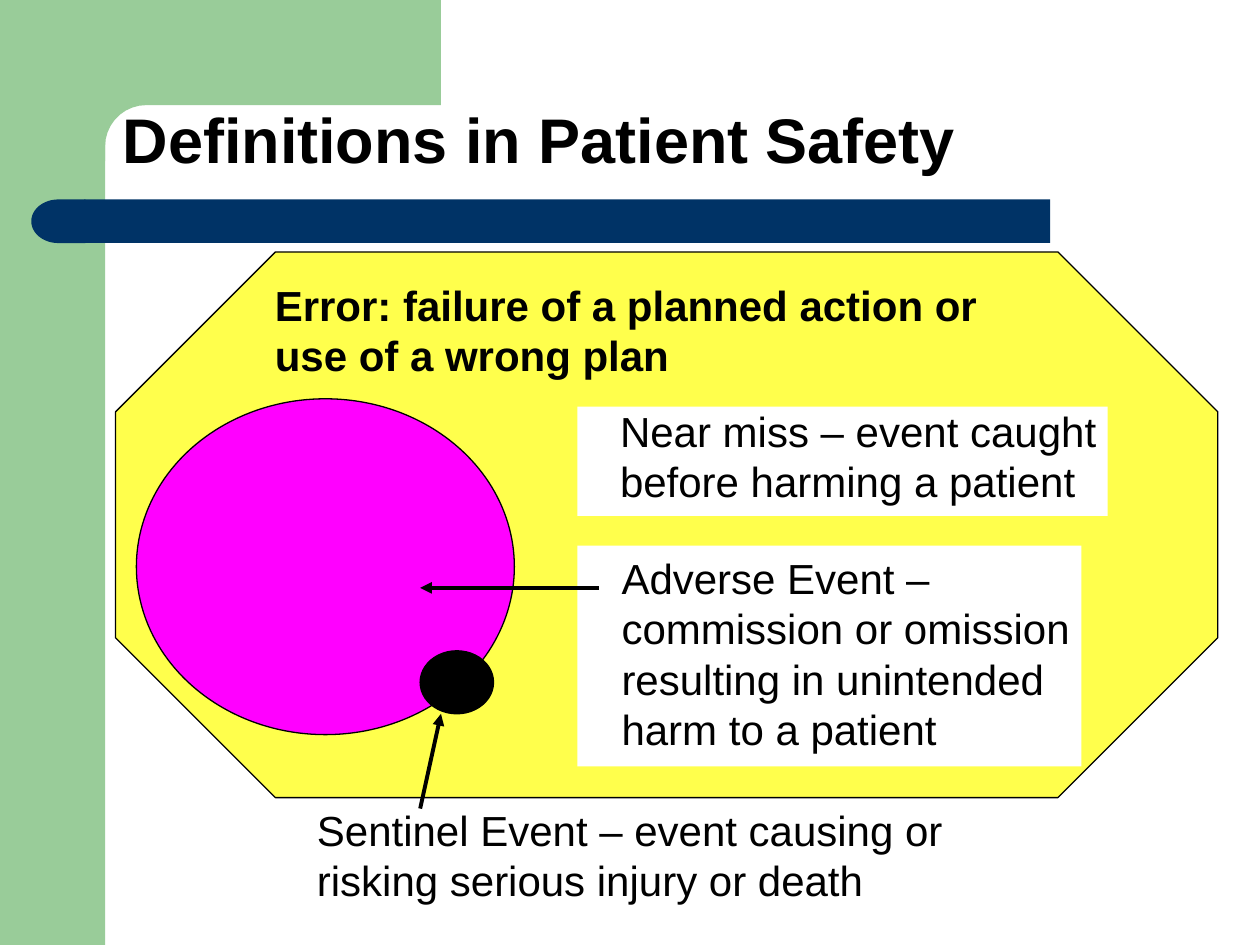
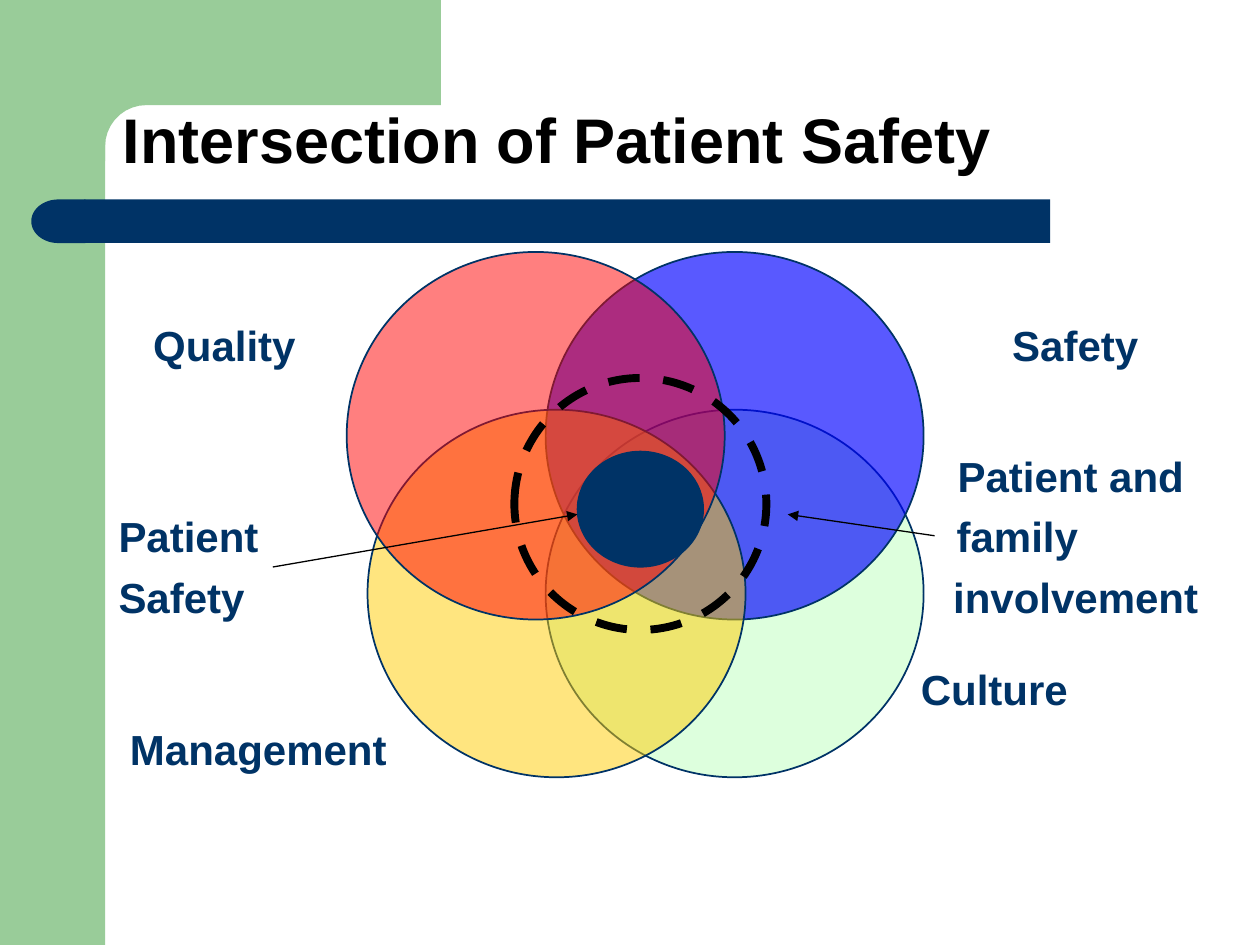
"""Build two patient safety slides with a shared green and navy frame."""
import math

from lxml import etree
from pptx import Presentation
from pptx import util as u
from pptx.dml.color import RGBColor
from pptx.enum import dml, shapes, text
from pptx.oxml.ns import qn

FONT = "Arial"
GREEN = RGBColor(0x99, 0xCC, 0x99)
NAVY = RGBColor(0x00, 0x33, 0x66)
BLACK = RGBColor(0x00, 0x00, 0x00)
WHITE = RGBColor(0xFF, 0xFF, 0xFF)
YELLOW = RGBColor(0xFF, 0xFF, 0x00)
MAGENTA = RGBColor(0xFF, 0x00, 0xFF)
RED = RGBColor(0xFF, 0x00, 0x00)
BLUE = RGBColor(0x00, 0x00, 0xFF)
GOLD = RGBColor(0xFF, 0xCC, 0x00)
MINT = RGBColor(0xCC, 0xFF, 0xCC)

SHAPE = shapes.MSO_SHAPE
TITLE_BOX = (2.22, 2.22, 21.79, 1.47)
TITLE_FONT = {"name": FONT, "size": u.Pt(36), "bold": True}
TEXT_FONT = {"name": FONT, "size": u.Pt(24), "bold": False}
BOLD_FONT = {**TEXT_FONT, "bold": True}
LINE_PITCH = u.Pt(28.8)


def apply(obj, values):
    """Set each named attribute of an object."""
    for name, value in values.items():
        setattr(obj, name, value)


def place(sp, box):
    """Move and size a shape to a box in centimetres."""
    apply(sp, dict(zip(("left", "top", "width", "height"), map(u.Cm, box))))


def paint(sp, fill=None, alpha=100, line=None, width=0.75, dash=None):
    """Give a shape its fill, opacity and outline, without a shadow."""
    sp.shadow.inherit = False
    if fill is None:
        sp.fill.background()
    else:
        sp.fill.solid()
        sp.fill.fore_color.rgb = fill
        if alpha < 100:
            color = sp.element.spPr.find(qn("a:solidFill"))[0]
            etree.SubElement(color, qn("a:alpha"), val=str(alpha * 1000))
    if line is None:
        sp.line.fill.background()
    else:
        sp.line.color.rgb = line
        apply(sp.line, {"width": u.Pt(width), "dash_style": dash})


def add_figure(s, kind, box, **look):
    """Add a painted preset shape."""
    sp = s.shapes.add_shape(kind, *map(u.Cm, box))
    paint(sp, **look)
    return sp


def add_arrow(s, start, end, width):
    """Add a black straight arrow."""
    c = s.shapes.add_connector(shapes.MSO_CONNECTOR.STRAIGHT, *map(u.Cm, start + end))
    c.line.color.rgb = BLACK
    c.line.width = u.Pt(width)
    line = c.element.spPr.find(qn("a:ln"))
    etree.SubElement(line, qn("a:tailEnd"), type="triangle")
    etree.SubElement(c.element.spPr, qn("a:effectLst"))


def write(p, words, font, color):
    """Write one run of formatted words in a paragraph."""
    r = p.add_run()
    r.text = words
    apply(r.font, font)
    r.font.color.rgb = color


def add_note(s, box, words, font=TEXT_FONT):
    """Add a wrapped text box."""
    tf = s.shapes.add_textbox(*map(u.Cm, box)).text_frame
    tf.word_wrap = True
    p = tf.paragraphs[0]
    p.line_spacing = LINE_PITCH
    write(p, words, font, BLACK)


def set_title(s, words):
    """Place and fill the title placeholder."""
    sp = s.shapes.title
    place(sp, TITLE_BOX)
    tf = sp.text_frame
    apply(tf, {"auto_size": text.MSO_AUTO_SIZE.NONE, "word_wrap": True,
               "vertical_anchor": text.MSO_ANCHOR.BOTTOM})
    p = tf.paragraphs[0]
    apply(p, {"alignment": text.PP_ALIGN.LEFT, "line_spacing": 0.9})
    write(p, words, TITLE_FONT, BLACK)


def set_labels(sp, box, labels):
    """Fill a shape with one column of indented labels."""
    place(sp, box)
    tf = sp.text_frame
    apply(tf, {"auto_size": text.MSO_AUTO_SIZE.NONE, "word_wrap": True})
    for i, (before, indent, words) in enumerate(labels):
        p = tf.add_paragraph() if i else tf.paragraphs[0]
        pPr = p._p.get_or_add_pPr()
        pPr.attrib.update({"marL": str(int(u.Cm(indent))), "indent": "0"})
        etree.SubElement(pPr, qn("a:buNone"))
        apply(p, {"space_before": u.Pt(before), "line_spacing": LINE_PITCH})
        write(p, words, BOLD_FONT, NAVY)


def add_corner(s):
    """Add the green top band with its rounded inner corner."""
    edge, center, radius = 2.12, 2.95, 0.83
    angles = [math.radians(a) for a in range(270, 179, -10)]
    arc = [(center + radius * math.cos(a), center + radius * math.sin(a)) for a in angles]
    outline = [(8.89, 0), (8.89, edge), *arc, (edge, 3.25), (1.27, 3.25)]
    builder = s.shapes.build_freeform(u.Cm(1.27), 0)
    builder.add_line_segments([(u.Cm(x), u.Cm(y)) for x, y in outline])
    sp = builder.convert_to_shape()
    paint(sp, GREEN)
    return sp


def frame_master(prs, s):
    """Draw the shared bands and move them to the slide master."""
    cap = add_figure(s, SHAPE.FLOWCHART_DELAY, (0.63, 4.02, 1.09, 0.88), fill=NAVY)
    cap.rotation = 180
    bands = [add_figure(s, SHAPE.RECTANGLE, (0, 0, 2.12, 19.05), fill=GREEN),
             add_corner(s),
             add_figure(s, SHAPE.RECTANGLE, (1.7, 4.02, 19.47, 0.88), fill=NAVY),
             cap]
    tree = prs.slide_master.element.cSld.spTree
    for i, sp in enumerate(bands):
        tree.insert(2 + i, sp.element)


def fill_definitions(s):
    """Draw the nested definitions of error and harm."""
    set_title(s, "Definitions in Patient Safety")
    octagon = add_figure(s, SHAPE.OCTAGON, (2.33, 5.08, 22.22, 11), fill=YELLOW,
                         alpha=70, line=BLACK)
    octagon.adjustments[0] = 0.293
    add_note(s, (5.29, 5.51, 15.44, 2.29),
             "Error: failure of a planned action or use of a wrong plan", BOLD_FONT)
    add_figure(s, SHAPE.RECTANGLE, (11.64, 8.2, 10.69, 2.2), fill=WHITE)
    add_note(s, (12.25, 8.05, 10.39, 2.29),
             "Near miss – event caught before harming a patient")
    add_figure(s, SHAPE.OVAL, (2.75, 8.04, 7.62, 6.77), fill=MAGENTA, line=BLACK)
    add_figure(s, SHAPE.RECTANGLE, (11.64, 11, 10.16, 4.45), fill=WHITE)
    add_arrow(s, (12.07, 11.85), (8.47, 11.85), 2.25)
    add_note(s, (12.28, 11.01, 10.39, 4.32), "Adverse Event – commission or omission "
             "resulting in unintended harm to a patient")
    add_note(s, (6.14, 16.09, 15.44, 2.29),
             "Sentinel Event – event causing or risking serious injury or death")
    add_arrow(s, (8.47, 16.3), (8.89, 14.39), 2.25)
    add_figure(s, SHAPE.OVAL, (8.47, 13.12, 1.48, 1.27), fill=BLACK, line=BLACK)


def fill_intersection(s):
    """Draw the four overlapping circles and their labels."""
    set_title(s, "Intersection of Patient Safety")
    set_labels(s.placeholders[1], (18.31, 6.32, 6.85, 12.1), [
        (0, 1.84, "Safety"),
        (45.6, 0.74, "Patient and"),
        (6, 0.72, "family"),
        (6, 0.65, "involvement"),
        (23.4, 0, "Culture"),
    ])
    left_column = s.shapes.add_textbox(0, 0, 0, 0)
    set_labels(left_column, (1.9, 6.32, 7, 12.1), [
        (0, 0.94, "Quality"),
        (80.4, 0.24, "Patient"),
        (6, 0.24, "Safety"),
        (58.2, 0.47, "Management"),
    ])
    for x, y, color, alpha in ((11, 8.26, MINT, 65), (11, 5.08, BLUE, 65),
                               (7.41, 8.26, GOLD, 50), (6.99, 5.08, RED, 50)):
        add_figure(s, SHAPE.OVAL, (x, y, 7.62, 7.41), fill=color, alpha=alpha,
                   line=NAVY, width=1)
    add_figure(s, SHAPE.OVAL, (11.64, 9.1, 2.54, 2.33), fill=NAVY, line=NAVY)
    add_figure(s, SHAPE.OVAL, (10.37, 7.62, 5.08, 5.08), line=BLACK, width=4.5,
               dash=dml.MSO_LINE.DASH)
    add_arrow(s, (5.5, 11.43), (11.64, 10.37), 0.75)
    add_arrow(s, (18.84, 10.8), (15.88, 10.37), 0.75)


def main():
    """Build and save the presentation."""
    prs = Presentation()
    apply(prs, {"slide_width": u.Cm(25.4), "slide_height": u.Cm(19.05)})
    definitions = prs.slides.add_slide(prs.slide_layouts[5])
    intersection = prs.slides.add_slide(prs.slide_layouts[1])
    frame_master(prs, definitions)
    fill_definitions(definitions)
    fill_intersection(intersection)
    prs.save("out.pptx")


if __name__ == "__main__":
    main()
